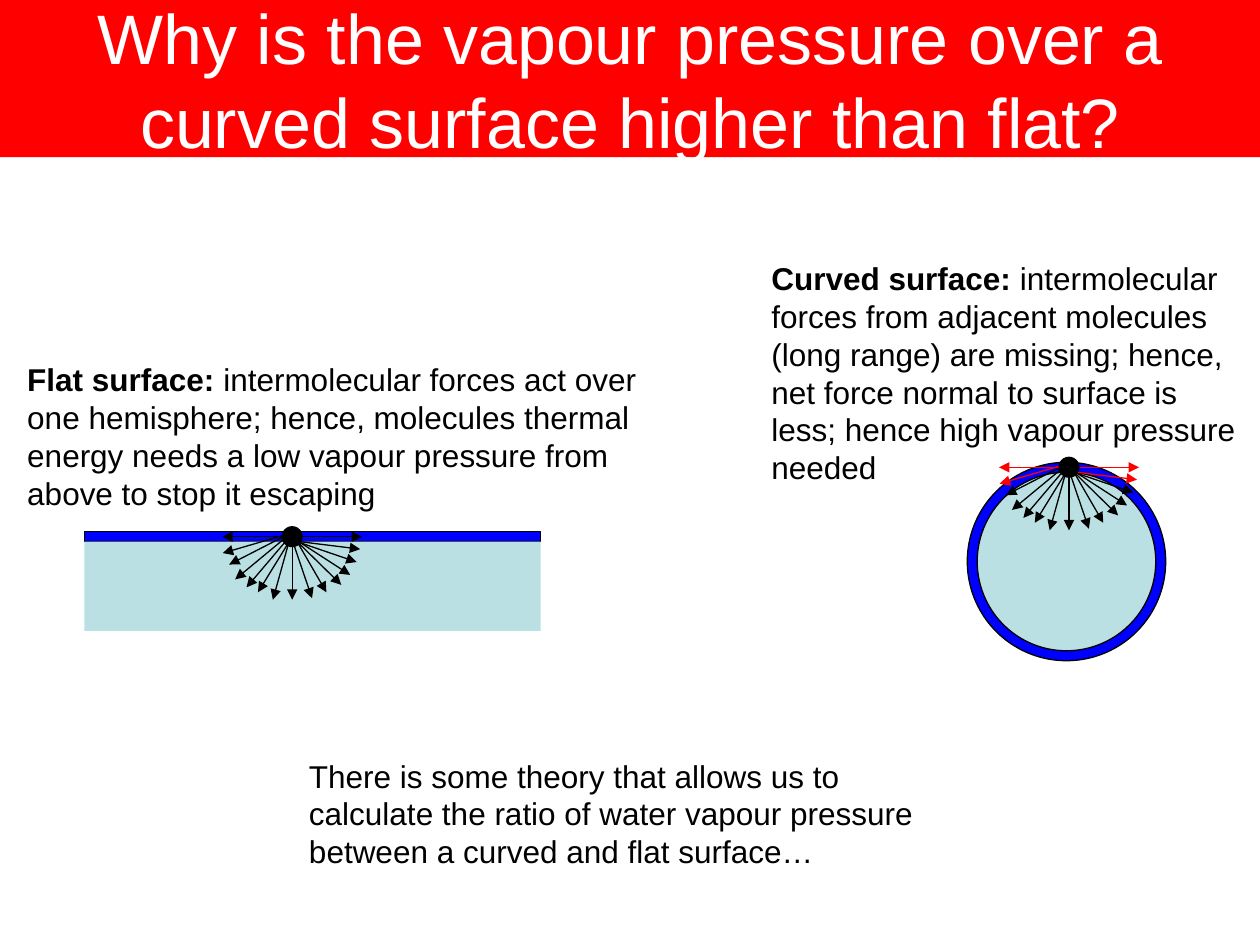
from lxml.etree import SubElement
from pptx import Presentation
from pptx.dml.color import RGBColor
from pptx.enum.shapes import MSO_CONNECTOR, MSO_SHAPE
from pptx.enum.text import MSO_ANCHOR, MSO_AUTO_SIZE, PP_ALIGN
from pptx.oxml.ns import qn
from pptx.util import Cm, Pt

COLORS = {"red": "FF0000", "blue": "0000FF", "water": "BBE0E3",
          "black": "000000", "white": "FFFFFF"}
FORCES = [
    (0, 0, 1.41, 0), (0, 0.08, 1.37, 0.25), (0.1, 0.1, 1.3, 0.51),
    (-0.05, -0.02, 1.17, 0.77), (-0.02, -0.02, 0.99, 0.97),
    (0.1, 0.1, 0.69, 1.12), (0, 0.06, 0.4, 1.24), (0, 0.08, 0, 1.27),
    (0, -0.13, -0.39, 1.27), (-0.08, 0.13, -0.69, 1.12),
    (0.1, -0.18, -0.92, 1.02), (0.07, -0.15, -1.15, 0.86),
    (-0.08, -0.05, -1.27, 0.56), (0, -0.08, -1.4, 0.33),
    (-0.02, 0, -1.41, 0),
]


def tint(name):
    """Return a named colour."""
    return RGBColor.from_string(COLORS[name])


def shape(slide, kind, box, fill, line=None):
    """Add a filled shape with an optional thin outline."""
    item = slide.shapes.add_shape(kind, *map(Cm, box))
    item.shadow.inherit = False
    item.fill.solid()
    item.fill.fore_color.rgb = tint(fill)
    if line:
        item.line.color.rgb = tint(line)
        item.line.width = Pt(0.75)
    else:
        item.line.fill.background()
    return item


def style(run, size, color, bold=False):
    """Set the font of a run."""
    run.font.name = "Arial"
    run.font.size = Pt(size)
    run.font.bold = bold
    run.font.color.rgb = tint(color)


def title(slide, box, text):
    """Add the red title band."""
    frame = shape(slide, MSO_SHAPE.RECTANGLE, box, "red").text_frame
    frame.text = text
    frame.word_wrap = True
    frame.vertical_anchor = MSO_ANCHOR.MIDDLE
    para = frame.paragraphs[0]
    para.alignment = PP_ALIGN.CENTER
    style(para.runs[0], 40, "white")


def note(slide, box, text, head=""):
    """Add a note with an optional bold heading."""
    frame = slide.shapes.add_textbox(*map(Cm, box)).text_frame
    frame.word_wrap = True
    frame.auto_size = MSO_AUTO_SIZE.SHAPE_TO_FIT_TEXT
    para = frame.paragraphs[0]
    for part, bold in ((head, True), (text, False)):
        if part:
            run = para.add_run()
            run.text = part
            style(run, 18, "black", bold)


def arrow(slide, ends, color):
    """Add a thin line with an arrowhead at its end."""
    line = slide.shapes.add_connector(MSO_CONNECTOR.STRAIGHT, *map(Cm, ends))
    line.line.color.rgb = tint(color)
    line.line.width = Pt(0.75)
    SubElement(line.line._get_or_add_ln(), qn("a:tailEnd"), type="triangle")
    SubElement(line._element.spPr, qn("a:effectLst"))


def forces(slide, x, y, edge="black"):
    """Fan the forces out from a molecule, the outer pairs in the edge colour."""
    for i, (x1, y1, x2, y2) in enumerate(FORCES):
        color = "black" if 2 <= i < len(FORCES) - 2 else edge
        arrow(slide, (x + x1, y + y1, x + x2, y + y2), color)
    shape(slide, MSO_SHAPE.OVAL, (x - 0.2, y - 0.2, 0.4, 0.4), "black", "black")


def flat(slide, box):
    """Draw flat water with its surface layer and a molecule."""
    x, y, w, h = box
    skin = 0.2
    shape(slide, MSO_SHAPE.RECTANGLE, (x, y, w, skin), "blue", "black")
    shape(slide, MSO_SHAPE.RECTANGLE, (x, y + skin, w, h - skin), "water")
    forces(slide, x + 4.19, y + 0.1)


def drop(slide, box):
    """Draw a round drop with its surface layer and a molecule."""
    x, y, w, h = box
    skin = 0.2
    core = (x + skin, y + skin, w - 2 * skin, h - 2 * skin)
    shape(slide, MSO_SHAPE.OVAL, box, "blue", "black")
    shape(slide, MSO_SHAPE.OVAL, core, "water", "black")
    forces(slide, x + 2.05, y + 0.1, "red")


def main():
    """Build the slide and save it."""
    deck = Presentation()
    deck.slide_width, deck.slide_height = Cm(25.4), Cm(19.05)
    slide = deck.slides.add_slide(deck.slide_layouts[6])
    title(slide, (0, 0, 25.4, 3.17),
          "Why is the vapour pressure over a curved surface higher than flat?")
    flat(slide, (1.7, 10.72, 9.2, 2))
    drop(slide, (19.5, 9.32, 4, 4))
    note(slide, (0.3, 7.14, 13.4, 3.3),
         " intermolecular forces act over one hemisphere; hence, molecules "
         "thermal energy needs a low vapour pressure from above to stop it "
         "escaping", "Flat surface:")
    note(slide, (15.3, 5.1, 9.9, 4.83),
         " intermolecular forces from adjacent molecules (long range) are "
         "missing; hence, net force normal to surface is less; hence high "
         "vapour pressure needed", "Curved surface:")
    note(slide, (5.98, 15.13, 13.3, 2.57),
         "There is some theory that allows us to calculate the ratio of water "
         "vapour pressure between a curved and flat surface…")
    deck.save("out.pptx")


if __name__ == "__main__":
    main()
